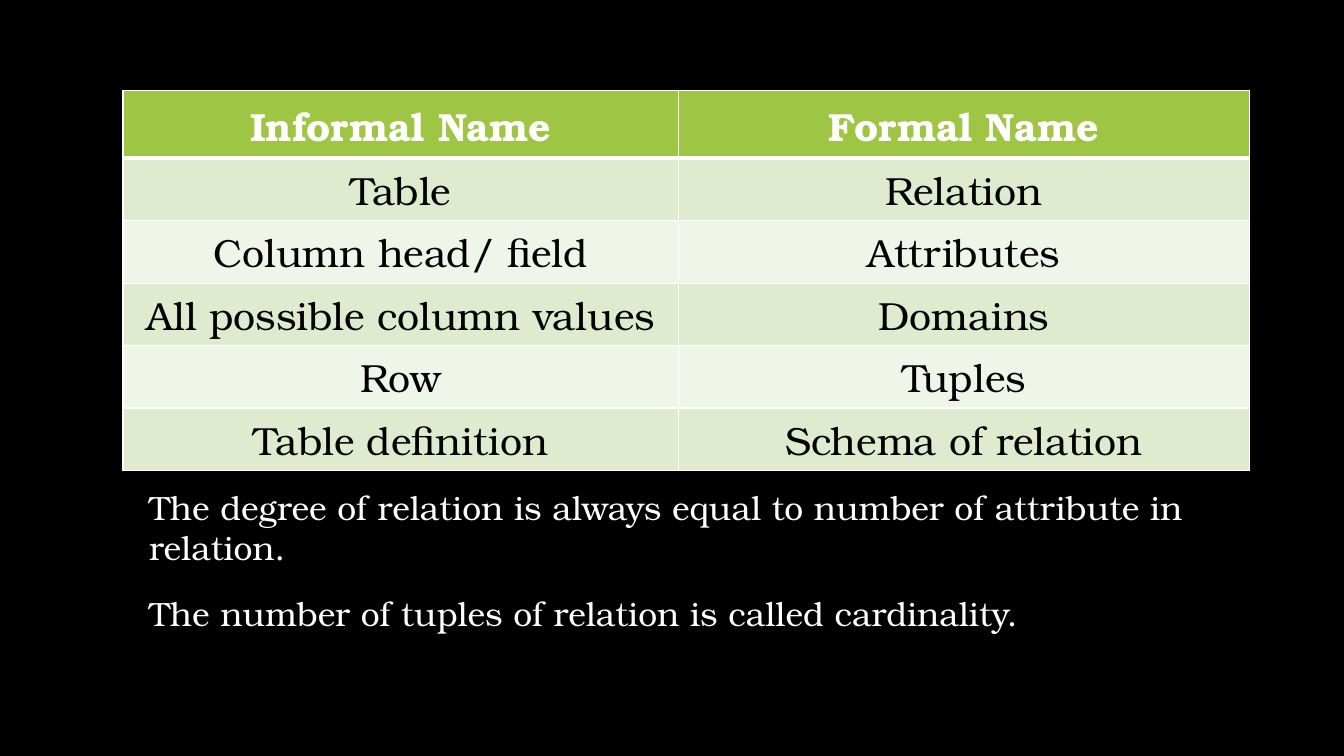
import pptx
import pptx.util
import pptx.dml.color
import pptx.enum.text
import pptx.oxml
import pptx.oxml.ns

Inches = pptx.util.Inches
HUES = {"back": "000000", "text": "FFFFFF", "head": "9EC544",
        "odd": "DFEACF", "even": "F0F5E9", "ink": "000000", "rule": "FFFFFF"}
ROWS = [
    ("Informal Name", "Formal Name"),
    ("Table", "Relation"),
    ("Column head/ field", "Attributes"),
    ("All possible column values", "Domains"),
    ("Row", "Tuples"),
    ("Table definition", "Schema of relation"),
]
NOTES = [
    (4.78, 0.91, "The degree of relation is always equal to number of attribute in relation."),
    (5.83, 0.5, "The number of tuples of relation is called cardinality."),
]


class Deck:
    def __init__(self, face):
        self.face = face
        self.show = pptx.Presentation()
        self.show.slide_width = Inches(13.33)
        self.show.slide_height = Inches(7.5)
        self.slide = self.show.slides.add_slide(self.show.slide_layouts[6])
        self.paint(self.slide.background.fill, "back")

    def hue(self, name):
        return pptx.dml.color.RGBColor.from_string(HUES[name])

    def paint(self, fill, name):
        fill.solid()
        fill.fore_color.rgb = self.hue(name)

    def style(self, para, size, name, bold=False):
        font = para.font
        font.name = self.face
        font.size = pptx.util.Pt(size)
        font.bold = bold
        font.color.rgb = self.hue(name)

    def edge(self, cell, widths):
        # Border lines come before the fill in a cell's properties
        props = cell._tc.get_or_add_tcPr()
        for spot, (side, width) in enumerate(widths.items()):
            props.insert(spot, pptx.oxml.parse_xml(
                f'<a:ln{side} {pptx.oxml.ns.nsdecls("a")} w="{pptx.util.Pt(width)}">'
                f'<a:solidFill><a:srgbClr val="{HUES["rule"]}"/></a:solidFill>'
                f'</a:ln{side}>'))

    def table(self, left, top, cols, highs, rows):
        grid = self.slide.shapes.add_table(
            len(rows), len(cols), Inches(left), Inches(top),
            Inches(sum(cols)), Inches(sum(highs))).table
        grid.horz_banding = False
        for col, width in zip(grid.columns, cols):
            col.width = Inches(width)
        for r, (row, high) in enumerate(zip(rows, highs)):
            grid.rows[r].height = Inches(high)
            head = r == 0
            for c, text in enumerate(row):
                cell = grid.cell(r, c)
                cell.text = text
                cell.vertical_anchor = pptx.enum.text.MSO_ANCHOR.MIDDLE
                para = cell.text_frame.paragraphs[0]
                para.alignment = pptx.enum.text.PP_ALIGN.CENTER
                self.style(para, 28, "text" if head else "ink", head)
                self.paint(cell.fill, "head" if head else "odd" if r % 2 else "even")
                self.edge(cell, {"L": 1, "R": 1, "T": 3 if r == 1 else 1,
                                 "B": 3 if head else 1})

    def note(self, left, top, width, high, text):
        box = self.slide.shapes.add_textbox(
            Inches(left), Inches(top), Inches(width), Inches(high))
        frame = box.text_frame
        frame.word_wrap = True
        frame.auto_size = pptx.enum.text.MSO_AUTO_SIZE.SHAPE_TO_FIT_TEXT
        frame.text = text
        self.style(frame.paragraphs[0], 24, "text")


def main():
    deck = Deck("TeX Gyre Bonum")
    # Table of terms
    deck.table(1.22, 0.9, [5.51, 5.66], [0.67] + [0.62] * 5, ROWS)
    # Notes below the table
    for top, high, text in NOTES:
        deck.note(1.38, top, 10.85, high, text)
    deck.show.save("out.pptx")


if __name__ == "__main__":
    main()
